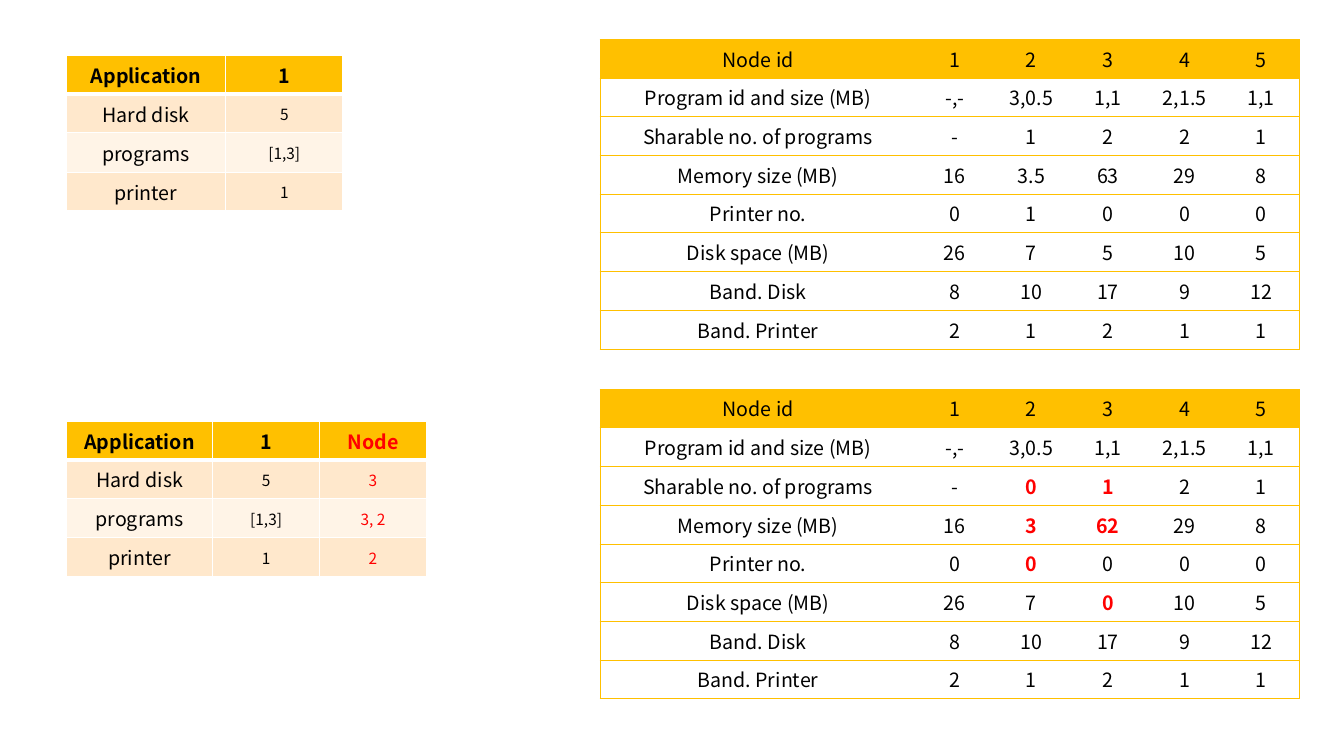
from dataclasses import dataclass, field

from lxml import etree
from pptx import Presentation
from pptx.dml.color import RGBColor
from pptx.enum.text import MSO_ANCHOR, PP_ALIGN
from pptx.oxml.ns import qn
from pptx.util import Inches, Pt

CENTER = PP_ALIGN.CENTER
TOP, MIDDLE = MSO_ANCHOR.TOP, MSO_ANCHOR.MIDDLE
PLAIN = "{2D5ABB26-0587-4C30-8999-92F81FD0307C}"


@dataclass(frozen=True)
class Theme:
    face: str = "Noto Sans CJK JP"
    ink: str = "000000"
    red: str = "FF0000"
    gold: str = "FFC000"
    white: str = "FFFFFF"
    bands: tuple[str, str] = ("FFE8CC", "FFF4E7")
    body: float = 14
    small: float = 11
    thin: float = 0.5
    rule: float = 1
    thick: float = 3


THEME = Theme()
Edges = dict[str, tuple[str, float]]


@dataclass
class Look:
    """Format of one cell."""
    edges: Edges
    fill: str | None = None
    size: float = THEME.body
    color: str = THEME.ink
    bold: bool = False
    anchor: int = TOP
    pads: tuple[float, ...] = (0.1, 0.05, 0.1, 0.05)


@dataclass
class Grid:
    """Place and content of one table."""
    left: float
    top: float
    cols: list[float]
    rows: list[float]
    data: list[list[str]]
    news: dict[tuple[int, int], str] = field(default_factory=dict)


# Cell formats
def app_look(grid: Grid, row: int, col: int) -> Look:
    edges = {side: (THEME.white, THEME.rule) for side in "LRTB"}
    if row < 2:
        edges["T" if row else "B"] = (THEME.white, THEME.thick)
    look = Look(edges, anchor=MIDDLE, bold=row == 0)
    look.fill = THEME.bands[(row - 1) % 2] if row else THEME.gold
    if row and col:
        look.size, look.pads = THEME.small, (0.01, 0.01, 0.01, 0)
    if col == 2:
        look.color = THEME.red
    return look


def node_look(grid: Grid, row: int, col: int) -> Look:
    line = (THEME.gold, THEME.thin)
    edges = {"T": line, "B": line}
    if col == 0:
        edges["L"] = line
    if col == len(grid.cols) - 1:
        edges["R"] = line
    look = Look(edges, fill=None if row else THEME.gold)
    if (row, col) in grid.news:
        look.color, look.bold = THEME.red, True
    return look


# Drawing
def draw_edges(cell, edges: Edges) -> None:
    props = cell._tc.get_or_add_tcPr()
    for side in "LRTB":
        color, width = edges.get(side, (None, 0))
        line = etree.SubElement(props, qn(f"a:ln{side}"), w=str(Pt(width)))
        if color is None:
            etree.SubElement(line, qn("a:noFill"))
        else:
            paint = etree.SubElement(line, qn("a:solidFill"))
            etree.SubElement(paint, qn("a:srgbClr"), val=color)


def draw_cell(cell, text: str, look: Look) -> None:
    draw_edges(cell, look.edges)
    if look.fill:
        cell.fill.solid()
        cell.fill.fore_color.rgb = RGBColor.from_string(look.fill)
    else:
        cell.fill.background()
    cell.vertical_anchor = look.anchor
    for side, pad in zip(("left", "top", "right", "bottom"), look.pads):
        setattr(cell, f"margin_{side}", Inches(pad))
    para = cell.text_frame.paragraphs[0]
    para.alignment = CENTER
    run = para.add_run()
    run.text = text
    style = {"name": THEME.face, "size": Pt(look.size), "bold": look.bold}
    for key, value in style.items():
        setattr(run.font, key, value)
    run.font.color.rgb = RGBColor.from_string(look.color)


def draw_grid(slide, grid: Grid, look_of) -> None:
    table = slide.shapes.add_table(
        len(grid.rows), len(grid.cols), Inches(grid.left), Inches(grid.top),
        Inches(sum(grid.cols)), Inches(sum(grid.rows))).table
    table._tbl.tblPr.find(qn("a:tableStyleId")).text = PLAIN
    table.horz_banding = False
    for col, width in zip(table.columns, grid.cols):
        col.width = Inches(width)
    for row, height in zip(table.rows, grid.rows):
        row.height = Inches(height)
    for r, texts in enumerate(grid.data):
        for c, text in enumerate(texts):
            draw_cell(table.cell(r, c), grid.news.get((r, c), text),
                      look_of(grid, r, c))


# Content
APP = [
    ["Application", "1"],
    ["Hard disk", "5"],
    ["programs", "[1,3]"],
    ["printer", "1"],
]
PICKS = ["Node", "3", "3, 2", "2"]
NODES = [
    ["Node id", "1", "2", "3", "4", "5"],
    ["Program id and size (MB)", "-,-", "3,0.5", "1,1", "2,1.5", "1,1"],
    ["Sharable no. of programs", "-", "1", "2", "2", "1"],
    ["Memory size (MB)", "16", "3.5", "63", "29", "8"],
    ["Printer no.", "0", "1", "0", "0", "0"],
    ["Disk space (MB)", "26", "7", "5", "10", "5"],
    ["Band. Disk", "8", "10", "17", "9", "12"],
    ["Band. Printer", "2", "1", "2", "1", "1"],
]
# Values changed once the nodes are picked, by row and column
NEWS = {(2, 2): "0", (2, 3): "1", (3, 2): "3", (3, 3): "62",
        (4, 2): "0", (5, 3): "0"}


def main() -> None:
    deck = Presentation()
    deck.slide_width, deck.slide_height = Inches(13.33), Inches(7.5)
    slide = deck.slides.add_slide(deck.slide_layouts[6])

    # Application needs, before and after the pick
    picked = [row + [pick] for row, pick in zip(APP, PICKS)]
    draw_grid(slide, Grid(0.66, 0.55, [1.58, 1.16],
                          [0.36, 0.36, 0.39, 0.36], APP), app_look)
    draw_grid(slide, Grid(0.66, 4.18, [1.45, 1.06, 1.06],
                          [0.36] * 4, picked), app_look)

    # Node resources, before and after the pick
    for top, news in ((0.39, {}), (3.86, NEWS)):
        draw_grid(slide, Grid(5.95, top, [3.14] + [0.76] * 5,
                              [0.37] * len(NODES), NODES, news), node_look)

    deck.save("out.pptx")


if __name__ == "__main__":
    main()
